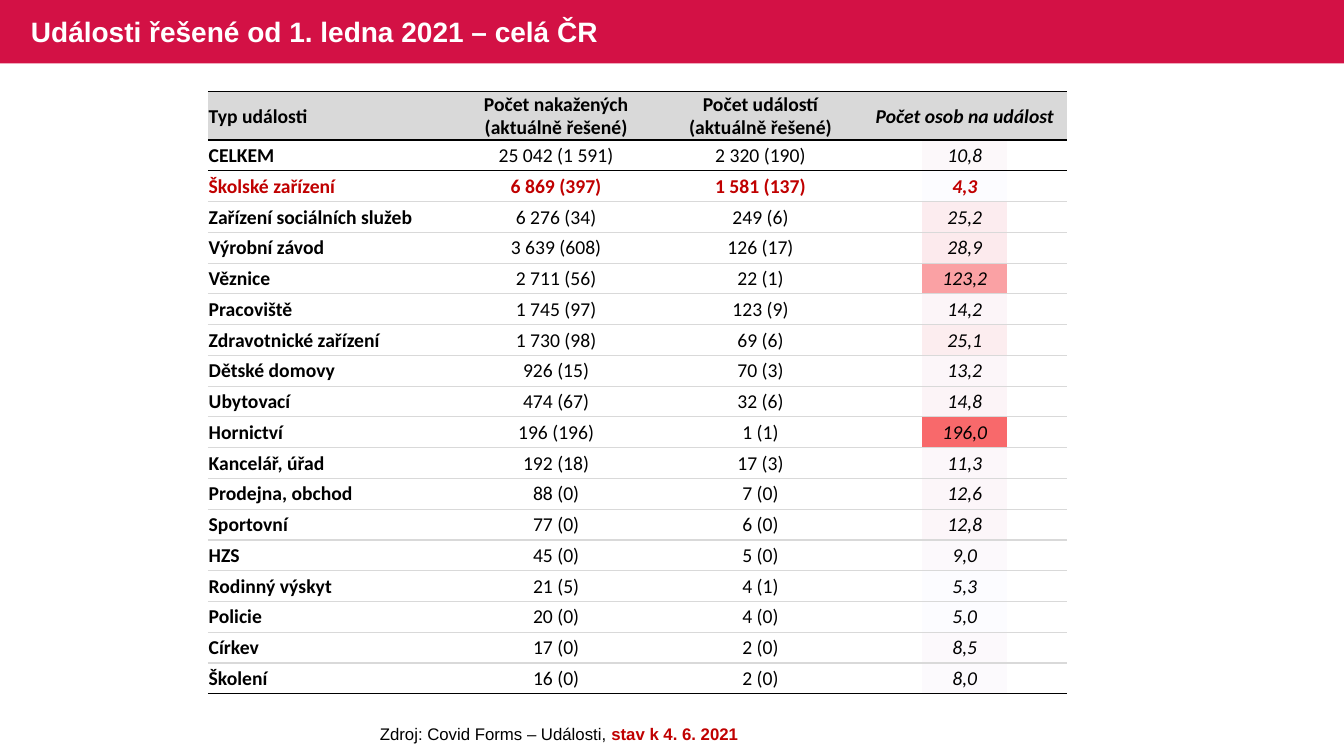
"""Build the slide with the table of events handled since 1 January 2021."""
from math import ceil
from lxml.etree import SubElement
from pptx import Presentation
from pptx.dml.color import RGBColor
from pptx.enum.shapes import MSO_SHAPE
from pptx.enum.text import MSO_ANCHOR, PP_ALIGN
from pptx.oxml import parse_xml
from pptx.oxml.ns import nsdecls, qn
from pptx.util import Cm, Pt

CRIMSON = RGBColor(0xD3, 0x11, 0x45)
RED = RGBColor(0xC0, 0x00, 0x00)
GREY = RGBColor(0xD9, 0xD9, 0xD9)
BLACK = RGBColor(0x00, 0x00, 0x00)
WHITE = RGBColor(0xFF, 0xFF, 0xFF)
COOL = RGBColor(0xFC, 0xFC, 0xFF)
HOT = RGBColor(0xF8, 0x69, 0x6B)

ROWS = [
    ("Typ události", "Počet nakažených\n(aktuálně řešené)",
     "Počet událostí\n(aktuálně řešené)", "Počet osob na událost"),
    ("CELKEM", "25 042 (1 591)", "2 320 (190)", "10,8"),
    ("Školské zařízení", "6 869 (397)", "1 581 (137)", "4,3"),
    ("Zařízení sociálních služeb", "6 276 (34)", "249 (6)", "25,2"),
    ("Výrobní závod", "3 639 (608)", "126 (17)", "28,9"),
    ("Věznice", "2 711 (56)", "22 (1)", "123,2"),
    ("Pracoviště", "1 745 (97)", "123 (9)", "14,2"),
    ("Zdravotnické zařízení", "1 730 (98)", "69 (6)", "25,1"),
    ("Dětské domovy", "926 (15)", "70 (3)", "13,2"),
    ("Ubytovací", "474 (67)", "32 (6)", "14,8"),
    ("Hornictví", "196 (196)", "1 (1)", "196,0"),
    ("Kancelář, úřad", "192 (18)", "17 (3)", "11,3"),
    ("Prodejna, obchod", "88 (0)", "7 (0)", "12,6"),
    ("Sportovní", "77 (0)", "6 (0)", "12,8"),
    ("HZS", "45 (0)", "5 (0)", "9,0"),
    ("Rodinný výskyt", "21 (5)", "4 (1)", "5,3"),
    ("Policie", "20 (0)", "4 (0)", "5,0"),
    ("Církev", "17 (0)", "2 (0)", "8,5"),
    ("Školení", "16 (0)", "2 (0)", "8,0"),
]
HEAD, STEP = Cm(1.22), Cm(0.775)
LEFT, TOP = Cm(5.24), Cm(2.31)


def add_grid(count, cols, left, top):
    """Add a plain table with equal rows."""
    frame = slide.shapes.add_table(count, len(cols), left, top, sum(cols), STEP * count)
    grid = frame.table
    grid.first_row = grid.horz_banding = False
    for col, width in zip(grid.columns, cols):
        col.width = width
    for row in grid.rows:
        row.height = STEP
    return grid


def set_edges(cell, top=None, bottom=None):
    """Draw the top and bottom edges of a cell and hide the rest."""
    props = cell._tc.get_or_add_tcPr()
    edges = {"lnL": None, "lnR": None, "lnT": top, "lnB": bottom}
    for place, (tag, color) in enumerate(edges.items()):
        line = parse_xml(f'<a:{tag} {nsdecls("a")} w="12700"/>')
        if color is None:
            SubElement(line, qn("a:noFill"))
        else:
            fill = SubElement(line, qn("a:solidFill"))
            SubElement(fill, qn("a:srgbClr"), val=str(color))
        props.insert(place, line)


deck = Presentation()
deck.slide_width, deck.slide_height = Cm(33.87), Cm(19.05)
slide = deck.slides.add_slide(deck.slide_layouts[6])

band = slide.shapes.add_shape(MSO_SHAPE.RECTANGLE, 0, 0, deck.slide_width, Cm(1.6))
band.shadow.inherit = False
band.fill.solid()
band.fill.fore_color.rgb = CRIMSON
band.line.fill.background()

rates = [float(row[3].replace(",", ".")) for row in ROWS[1:]]
low, high = min(rates), max(rates)
heat = add_grid(len(rates), [Cm(2.14)], Cm(23.24), TOP + HEAD)
for index, rate in enumerate(rates):
    cell = heat.cell(index, 0)
    cell.margin_left = cell.margin_right = cell.margin_top = cell.margin_bottom = 0
    share = (rate - low) / (high - low)
    cell.fill.solid()
    cell.fill.fore_color.rgb = RGBColor(
        *(ceil(cool + (hot - cool) * share) for cool, hot in zip(COOL, HOT)))
    cell.text_frame.paragraphs[0].font.size = Pt(10)
    set_edges(cell)

title = slide.shapes.add_textbox(Cm(0.53), Cm(0.05), Cm(20.65), Cm(1.6)).text_frame
title.word_wrap = True
title.vertical_anchor = MSO_ANCHOR.MIDDLE
para = title.paragraphs[0]
para.text = "Události řešené od 1. ledna 2021 – celá ČR"
para.line_spacing = 0.9
para.font.name, para.font.size, para.font.bold = "Arial", Pt(20), True
para.font.color.rgb = WHITE

source = slide.shapes.add_textbox(LEFT, Cm(18.11), Cm(17.7), Cm(0.77)).text_frame
source.word_wrap = True
para = source.paragraphs[0]
para.alignment = PP_ALIGN.CENTER
para.font.name, para.font.size = "Arial", Pt(12)
for text, color, bold in [("Zdroj: Covid Forms – Události, ", BLACK, False),
                          ("stav k 4. 6. 2021", RED, True)]:
    run = para.add_run()
    run.text = text
    run.font.bold = bold
    run.font.color.rgb = color

events = add_grid(len(ROWS), [Cm(6.2), Cm(5.15), Cm(5.15), Cm(5.15)], LEFT, TOP)
events.rows[0].height = HEAD
last = len(ROWS) - 1
for r, row in enumerate(ROWS):
    for c, text in enumerate(row):
        cell = events.cell(r, c)
        cell.text = text
        cell.vertical_anchor = MSO_ANCHOR.MIDDLE
        cell.margin_left = cell.margin_right = cell.margin_top = Cm(0.02)
        cell.margin_bottom = 0
        if r == 0:
            cell.fill.solid()
            cell.fill.fore_color.rgb = GREY
        else:
            cell.fill.background()
        set_edges(cell, BLACK if r <= 2 else GREY, BLACK if r in (0, 1, last) else GREY)
        for para in cell.text_frame.paragraphs:
            para.alignment = PP_ALIGN.CENTER if c else PP_ALIGN.LEFT
            para.font.name, para.font.size = "Calibri", Pt(14)
            para.font.bold = c == 0 or r in (0, 2)
            para.font.italic = c == 3
            para.font.color.rgb = RED if r == 2 else BLACK

deck.save("out.pptx")
